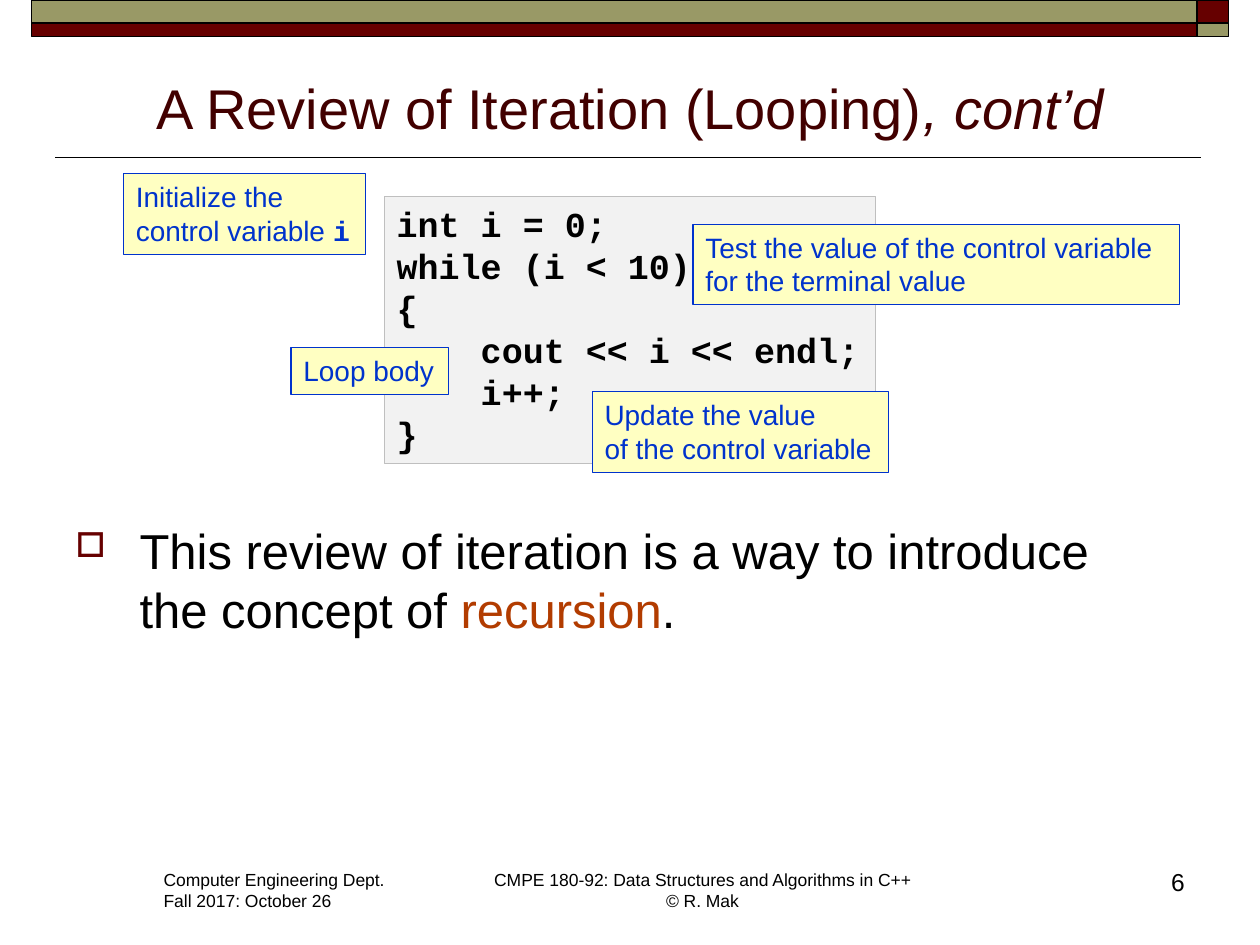
from lxml import etree
from pptx import Presentation
from pptx.dml.color import RGBColor
from pptx.enum.shapes import MSO_CONNECTOR, MSO_SHAPE
from pptx.enum.text import MSO_ANCHOR, PP_ALIGN
from pptx.oxml.ns import qn
from pptx.util import Pt

PX = 9144  # 100 px to the inch
LEFT, CENTER, RIGHT = PP_ALIGN.LEFT, PP_ALIGN.CENTER, PP_ALIGN.RIGHT
BLACK = RGBColor(0x00, 0x00, 0x00)
MAROON = RGBColor(0x66, 0x00, 0x00)
OLIVE = RGBColor(0x99, 0x99, 0x66)
TITLE = RGBColor(0x42, 0x00, 0x00)
RUST = RGBColor(0xB2, 0x3C, 0x00)
BLUE = RGBColor(0x00, 0x33, 0xCC)
YELLOW = RGBColor(0xFF, 0xFF, 0xC2)
PALE_GRAY = RGBColor(0xF2, 0xF2, 0xF2)
GRAY = RGBColor(0xBF, 0xBF, 0xBF)


def style(r, size, color, font="Arial", bold=False):
    r.font.size = Pt(size)
    r.font.color.rgb = color
    r.font.name = font
    r.font.bold = bold


def add_text(box, text, size, color=BLACK, font="Arial", bold=False,
             align=LEFT, wrap=False, fill=None, line=None):
    """Add a text box, framed when a fill is given; box is in px."""
    sp = s.shapes.add_textbox(*(v * PX for v in box))
    if fill is not None:
        sp.fill.solid()
        sp.fill.fore_color.rgb = fill
        sp.line.color.rgb = line
        sp.line.width = Pt(0.75)
    tf = sp.text_frame
    tf.word_wrap = wrap
    tf.text = text
    for p in tf.paragraphs:
        p.alignment = align
        for r in p.runs:
            style(r, size, color, font, bold)
    return tf


prs = Presentation()
prs.slide_width, prs.slide_height = 1000 * PX, 750 * PX
s = prs.slides.add_slide(prs.slide_layouts[5])

# Title rule and header bars
rule = s.shapes.add_connector(MSO_CONNECTOR.STRAIGHT, 44 * PX, 125 * PX, 953 * PX, 125 * PX)
rule.line.color.rgb = BLACK
rule.line.width = Pt(1)
etree.SubElement(rule._element.spPr, qn("a:effectLst"))

for x, y, w, h, color in [
    (950, 0, 25, 18, MAROON),
    (25, 0, 925, 18, OLIVE),
    (25, 18, 925, 11, MAROON),
    (950, 18, 25, 11, OLIVE),
]:
    bar = s.shapes.add_shape(MSO_SHAPE.RECTANGLE, x * PX, y * PX, w * PX, h * PX)
    bar.shadow.inherit = False
    bar.fill.solid()
    bar.fill.fore_color.rgb = color
    bar.line.color.rgb = BLACK
    bar.line.width = Pt(1)

# Title
title = s.shapes.title
title.left, title.top, title.width, title.height = 50 * PX, 45 * PX, 900 * PX, 72 * PX
tf = title.text_frame
tf.vertical_anchor = MSO_ANCHOR.BOTTOM
tf.text = "A Review of Iteration (Looping)"
p = tf.paragraphs[0]
p.alignment = CENTER
p.add_run().text = ", cont’d"
for r in p.runs:
    style(r, 32, TITLE)
p.runs[1].font.italic = True

# Footer
add_text((120, 685, 197, 44), "Computer Engineering Dept.\nFall 2017: October 26", 10)
add_text((380, 685, 355, 44),
         "CMPE 180-92: Data Structures and Algorithms in C++\v© R. Mak", 10, align=CENTER)
add_text((742, 683, 208, 50), "6", 14, align=RIGHT, wrap=True)

# Bulleted statement
tf = add_text((50, 408, 900, 263),
              "This review of iteration is a way to introduce \vthe concept of ", 28, wrap=True)
p = tf.paragraphs[0]
p.space_before = Pt(5.6)
for text, color in [("recursion", RUST), (".", BLACK)]:
    r = p.add_run()
    r.text = text
    style(r, 28, color)
pPr = p._p.get_or_add_pPr()
pPr.set("marL", str(51 * PX))
pPr.set("indent", str(-51 * PX))
bullet_color = etree.SubElement(pPr, qn("a:buClr"))
etree.SubElement(bullet_color, qn("a:srgbClr"), val=str(MAROON))
etree.SubElement(pPr, qn("a:buSzPct"), val="70000")
etree.SubElement(pPr, qn("a:buChar"), char="□")

# Code listing
code = """int i = 0;
while (i < 10)
{
    cout << i << endl;
    i++;
}"""
add_text((305, 156, 390, 212), code, 20, font="Courier New", bold=True,
         fill=PALE_GRAY, line=GRAY)

# Callouts over the code
callouts = [
    ((98, 138, 192, 64), "Initialize the\ncontrol variable "),
    ((550, 178, 386, 64), "Test the value of the control variable\nfor the terminal value"),
    ((231, 276, 125, 37), "Loop body"),
    ((470, 311, 235, 64), "Update the value\nof the control variable"),
]
frames = [add_text(box, text, 16, BLUE, fill=YELLOW, line=BLUE) for box, text in callouts]
r = frames[0].paragraphs[1].add_run()
r.text = "i"
style(r, 16, BLUE, "Courier New", True)

prs.save("out.pptx")
